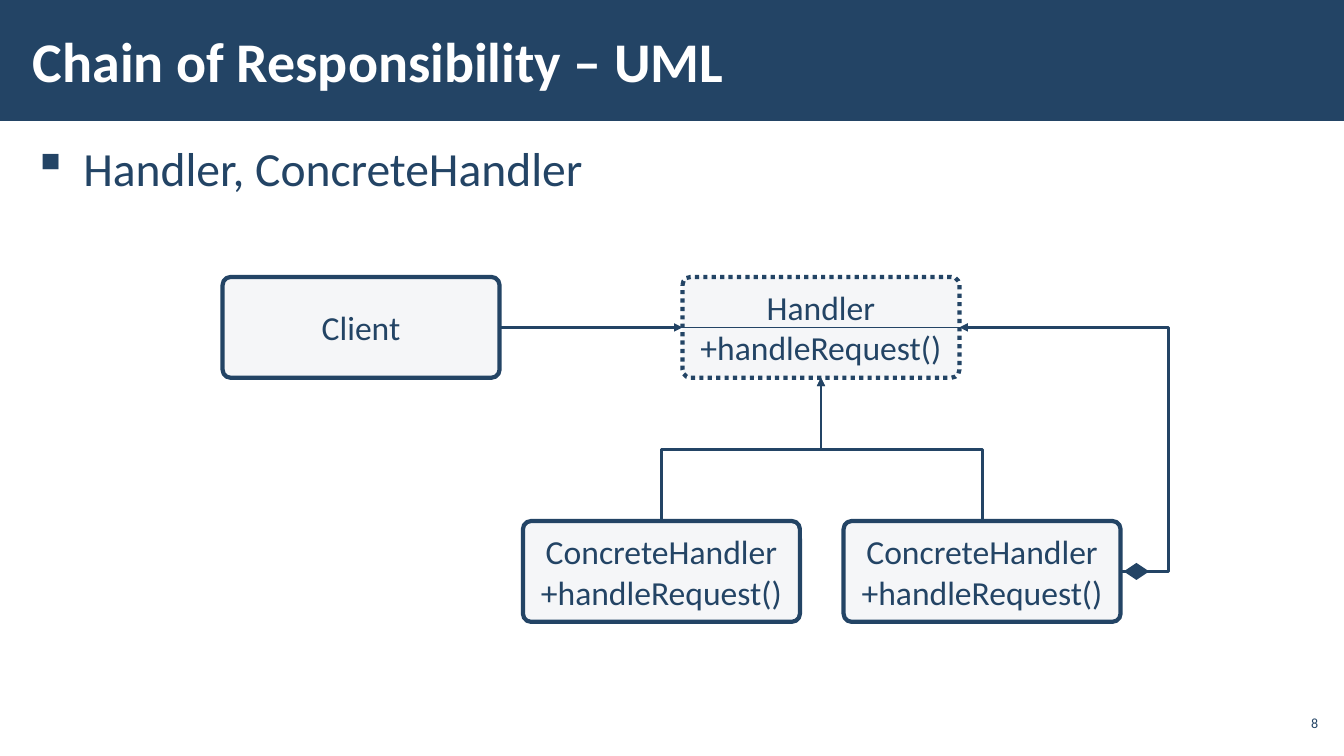
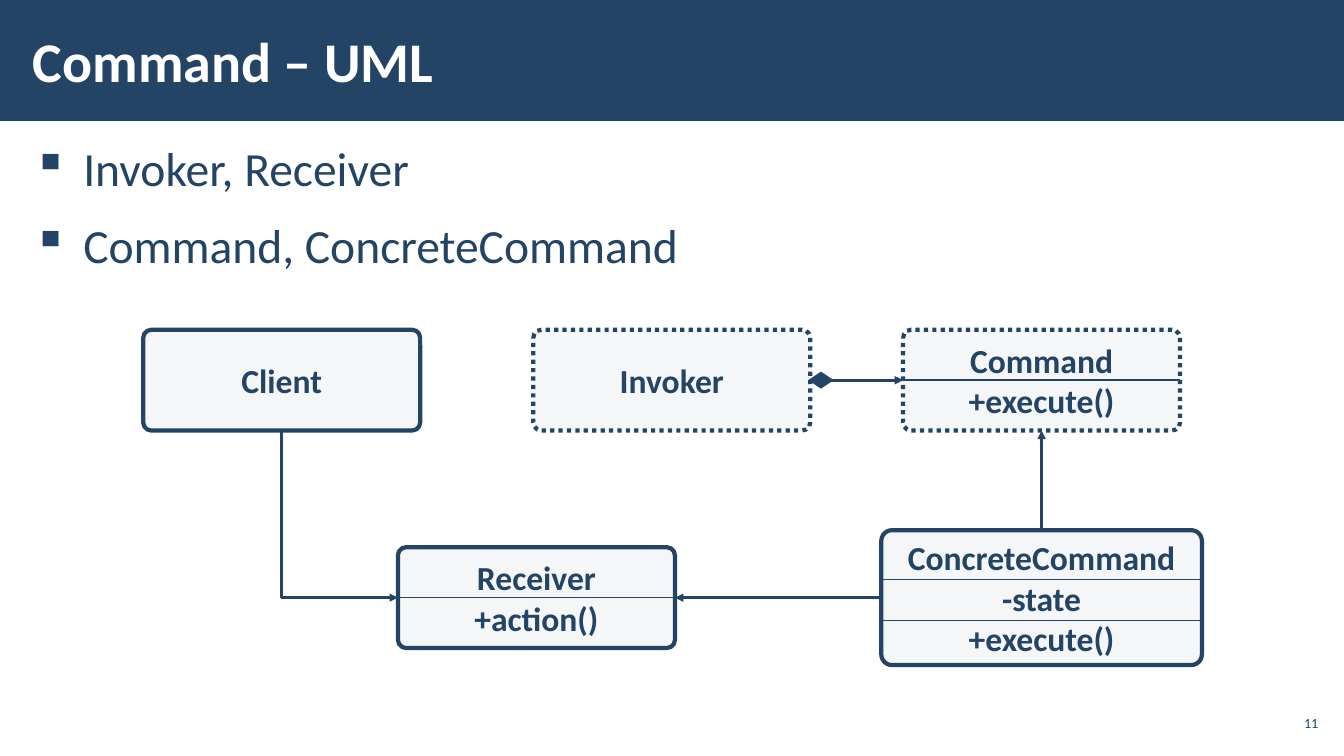
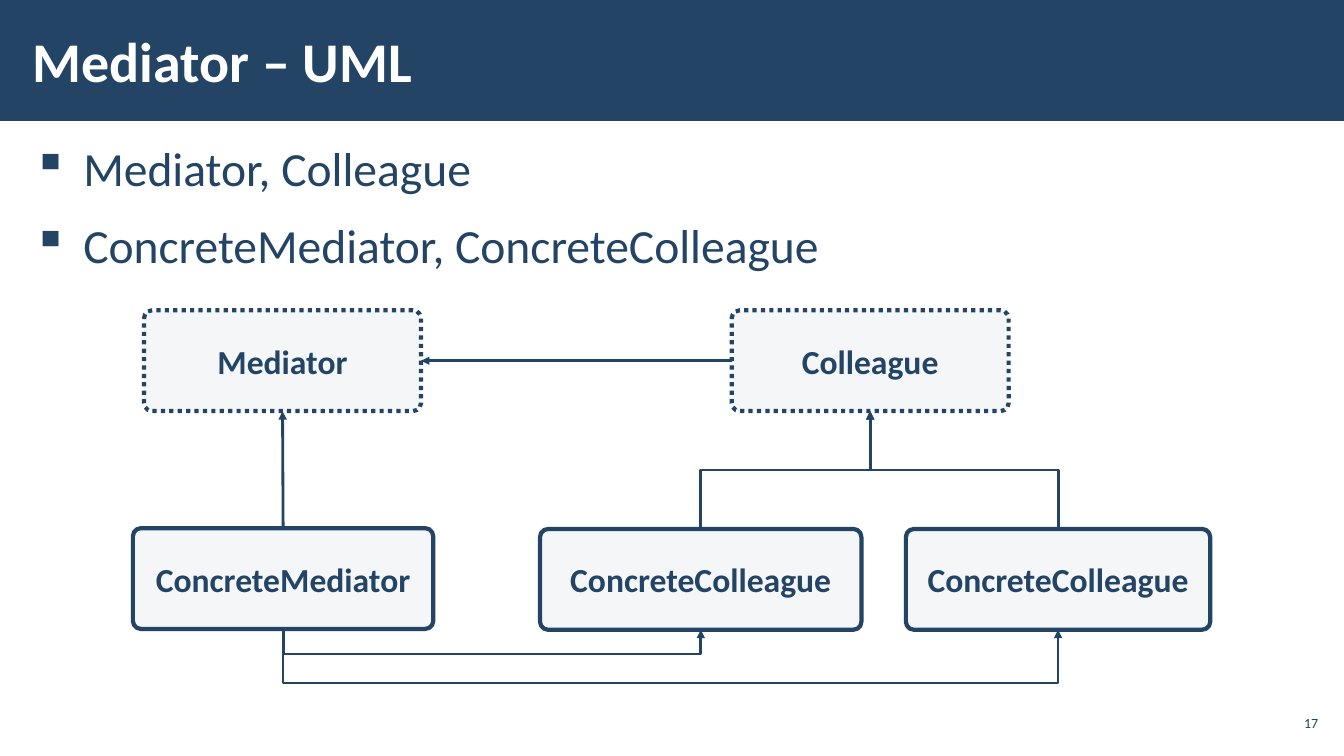
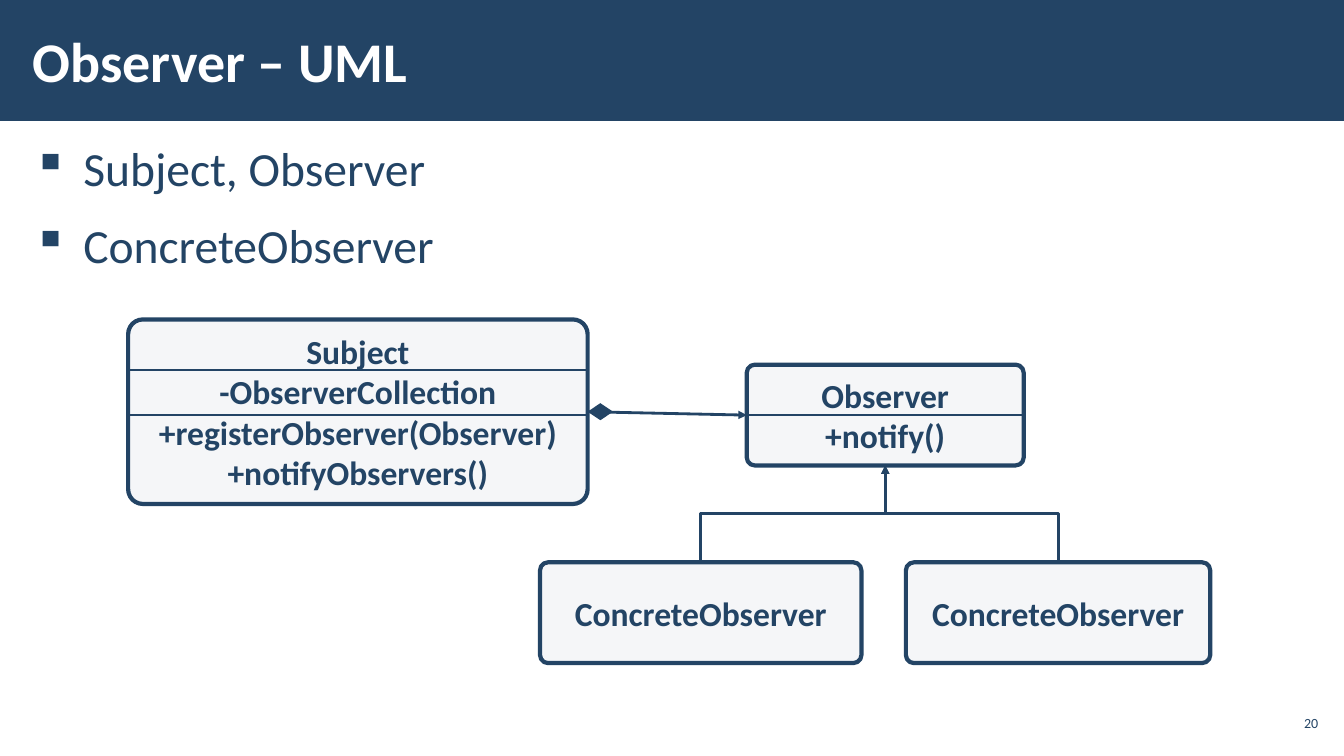
from lxml import etree
from pptx import Presentation
from pptx.dml.color import RGBColor
from pptx.enum.dml import MSO_LINE
from pptx.enum.shapes import MSO_CONNECTOR, MSO_SHAPE
from pptx.enum.text import MSO_ANCHOR, PP_ALIGN
from pptx.oxml.ns import qn
from pptx.util import Cm, Pt

NAVY = RGBColor(0x23, 0x44, 0x65)
MIST = RGBColor(0xC2, 0xC7, 0xD2)
WHITE = RGBColor(0xFF, 0xFF, 0xFF)
FONT = "Calibri"

STRAIGHT, ELBOW = MSO_CONNECTOR.STRAIGHT, MSO_CONNECTOR.ELBOW
BAND, CLASS, DIAMOND = MSO_SHAPE.RECTANGLE, MSO_SHAPE.ROUNDED_RECTANGLE, MSO_SHAPE.FLOWCHART_DECISION
DOTTED = MSO_LINE.ROUND_DOT
TOP_ANCHOR, MIDDLE = MSO_ANCHOR.TOP, MSO_ANCHOR.MIDDLE
ALIGN_LEFT, ALIGN_CENTER, ALIGN_RIGHT = PP_ALIGN.LEFT, PP_ALIGN.CENTER, PP_ALIGN.RIGHT

TOP, LEFT, BOTTOM, RIGHT = range(4)
SLIDE_WIDTH, SLIDE_HEIGHT = 33.87, 19.05
CLASS_WIDTH, CLASS_HEIGHT = 6.98, 2.54
MID_CLASS = CLASS_HEIGHT / 2


def write(shape, text, size, color=NAVY, bold=False, align=ALIGN_LEFT, anchor=MIDDLE):
    frame = shape.text_frame
    frame.word_wrap = True
    frame.vertical_anchor = anchor
    frame.text = text
    for paragraph in frame.paragraphs:
        paragraph.alignment = align
        for run in paragraph.runs:
            run.font.name = FONT
            run.font.size = Pt(size)
            run.font.bold = bold
            run.font.color.rgb = color
    return frame


def add_text(slide, text, place, insets, size, **style):
    label = slide.shapes.add_textbox(*map(Cm, place))
    frame = write(label, text, size, **style)
    frame.margin_left = frame.margin_right = Cm(insets[0])
    frame.margin_top = frame.margin_bottom = Cm(insets[1])
    return frame


def add_solid(slide, preset, place, color):
    solid = slide.shapes.add_shape(preset, *map(Cm, place))
    solid.shadow.inherit = False
    solid.fill.solid()
    solid.fill.fore_color.rgb = color
    solid.line.fill.background()
    return solid


def add_bullets(slide, items):
    frame = add_text(slide, "\n".join(items), (0.53, 3.33, 32.82, 14.45), (0.3, 0.1),
                     34, anchor=TOP_ANCHOR)
    for paragraph in frame.paragraphs:
        paragraph.line_spacing = 1.05
        paragraph.space_before = paragraph.space_after = Pt(6)
        properties = paragraph._p.get_or_add_pPr()
        properties.set("marL", str(Cm(1.27)))
        properties.set("indent", str(-Cm(1.27)))
        etree.SubElement(properties, qn("a:buChar")).set("char", "▪")


def add_uml_slide(deck, title, number, items):
    slide = deck.slides.add_slide(deck.slide_layouts[6])
    add_solid(slide, BAND, (0, 0, SLIDE_WIDTH, 3.05), NAVY)
    add_bullets(slide, items)
    add_text(slide, title, (0.53, 0.28, 26.39, 2.46), (0.3, 0.1), 40, color=WHITE, bold=True)
    add_text(slide, str(number), (32.13, 17.78, 1.19, 0.86), (0.1, 0.1), 10, align=ALIGN_RIGHT)
    return slide


def add_class(slide, text, left, top, width=CLASS_WIDTH, height=CLASS_HEIGHT,
              abstract=False, bold=True, dividers=()):
    uml_class = add_solid(slide, CLASS, (left, top, width, height), MIST)
    uml_class.adjustments[0] = 0.08
    color = uml_class._element.spPr.find(qn("a:solidFill"))[0]
    etree.SubElement(color, qn("a:alpha")).set("val", "15000")
    uml_class.line.color.rgb = NAVY
    uml_class.line.width = Pt(3)
    if abstract:
        uml_class.line.dash_style = DOTTED
    write(uml_class, text, 24, bold=bold, align=ALIGN_CENTER)
    for offset in dividers:
        y = Cm(top + offset)
        divider = slide.shapes.add_connector(STRAIGHT, Cm(left), y, Cm(left + width), y)
        style_line(divider, 1)
    return uml_class


def style_line(connector, width, arrow=False):
    connector.line.color.rgb = NAVY
    connector.line.width = Pt(width)
    if arrow:
        etree.SubElement(connector.line._get_or_add_ln(), qn("a:tailEnd")).set("type", "triangle")
    etree.SubElement(connector._element.spPr, qn("a:effectLst"))


def side_point(uml_class, side):
    x = uml_class.left + uml_class.width * {LEFT: 0, RIGHT: 2}.get(side, 1) // 2
    y = uml_class.top + uml_class.height * {TOP: 0, BOTTOM: 2}.get(side, 1) // 2
    return x, y


def add_arrow(slide, source, source_side, target, target_side):
    arrow = slide.shapes.add_connector(STRAIGHT, *side_point(source, source_side),
                                       *side_point(target, target_side))
    arrow.begin_connect(source, source_side)
    arrow.end_connect(target, target_side)
    style_line(arrow, 2, arrow=True)


def add_elbow(slide, source, source_side, target, target_side, reach=None):
    x1, y1 = side_point(source, source_side)
    x2, y2 = side_point(target, target_side)
    dx, dy = x2 - x1, y2 - y1
    vertical = source_side in (TOP, BOTTOM)
    width, height = (abs(dy), abs(dx)) if vertical else (abs(dx), abs(dy))
    left, top = (x1 + x2 - width) // 2, (y1 + y2 - height) // 2
    elbow = slide.shapes.add_connector(ELBOW, left, top, left + width, top + height)
    frame = elbow._element.spPr.xfrm
    if vertical:
        quarter_turn = dx * dy < 0
        elbow.rotation = 90 if quarter_turn else 270
        frame.flipH = (dy < 0) == quarter_turn
        frame.flipV = (dx > 0) == quarter_turn
    else:
        frame.flipH, frame.flipV = dx < 0, dy < 0
    geometry = elbow._element.spPr.find(qn("a:prstGeom"))
    if vertical != (target_side in (TOP, BOTTOM)):
        geometry.set("prst", "bentConnector2")
    elif reach is not None:
        bend = round(Cm(reach) / (dy if vertical else dx) * 100000)
        guide = etree.SubElement(geometry.find(qn("a:avLst")), qn("a:gd"))
        guide.set("name", "adj1")
        guide.set("fmla", f"val {bend}")
    style_line(elbow, 2, arrow=True)


def add_diamond(slide, owner, gap=0):
    x, y = side_point(owner, RIGHT)
    width, height = 0.64, 0.43
    add_solid(slide, DIAMOND, (x / Cm(1) + gap, y / Cm(1) - height / 2, width, height), NAVY)


def build_chain(deck):
    slide = add_uml_slide(deck, "Chain of Responsibility – UML", 8, ["Handler, ConcreteHandler"])
    client = add_class(slide, "Client", 5.61, 6.98, bold=False)
    handler = add_class(slide, "Handler\n+handleRequest()", 17.2, 6.98,
                        abstract=True, bold=False, dividers=[MID_CLASS])
    first, last = [add_class(slide, "ConcreteHandler\n+handleRequest()", left, 13.13, bold=False)
                   for left in (13.18, 21.26)]
    for concrete in (first, last):
        add_elbow(slide, concrete, TOP, handler, BOTTOM)
    add_elbow(slide, last, RIGHT, handler, RIGHT, reach=1.2)
    add_arrow(slide, client, RIGHT, handler, LEFT)
    add_diamond(slide, last, gap=0.08)


def build_command(deck):
    slide = add_uml_slide(deck, "Command – UML", 11,
                          ["Invoker, Receiver", "Command, ConcreteCommand"])
    client = add_class(slide, "Client", 3.61, 8.31)
    invoker = add_class(slide, "Invoker", 13.44, 8.31, abstract=True)
    command = add_class(slide, "Command\n+execute()", 22.76, 8.31,
                        abstract=True, dividers=[MID_CLASS])
    receiver = add_class(slide, "Receiver\n+action()", 10.03, 13.79, dividers=[MID_CLASS])
    concrete = add_class(slide, "ConcreteCommand\n-state\n+execute()", 22.21, 13.36,
                         8.08, 3.4, dividers=[1.24, 2.28])
    add_arrow(slide, invoker, RIGHT, command, LEFT)
    add_diamond(slide, invoker, gap=-0.05)
    add_arrow(slide, concrete, TOP, command, BOTTOM)
    add_arrow(slide, concrete, LEFT, receiver, RIGHT)
    add_elbow(slide, client, BOTTOM, receiver, LEFT)


def add_concrete_pair(slide, text, top, parent):
    pair = [add_class(slide, text, left, top, width)
            for left, width in ((13.61, 8.1), (22.83, 7.67))]
    for concrete in pair:
        add_elbow(slide, concrete, TOP, parent, BOTTOM)
    return pair


def build_mediator(deck):
    slide = add_uml_slide(deck, "Mediator – UML", 17,
                          ["Mediator, Colleague", "ConcreteMediator, ConcreteColleague"])
    mediator = add_class(slide, "Mediator", 3.63, 7.82, abstract=True)
    colleague = add_class(slide, "Colleague", 18.44, 7.82, abstract=True)
    concrete_mediator = add_class(slide, "ConcreteMediator", 3.35, 13.31, 7.57)
    colleagues = add_concrete_pair(slide, "ConcreteColleague", 13.33, colleague)
    add_arrow(slide, colleague, LEFT, mediator, RIGHT)
    add_arrow(slide, concrete_mediator, TOP, mediator, BOTTOM)
    for concrete, reach in zip(colleagues, (0.63, 1.36)):
        add_elbow(slide, concrete_mediator, BOTTOM, concrete, BOTTOM, reach)


def build_observer(deck):
    slide = add_uml_slide(deck, "Observer – UML", 20, ["Subject, Observer", "ConcreteObserver"])
    subject = add_class(
        slide, "Subject\n-ObserverCollection\n+registerObserver(Observer)\n+notifyObservers()",
        3.23, 8.05, 11.58, 4.65, dividers=[1.27, 2.41])
    observer = add_class(slide, "Observer\n+notify()", 18.82, 9.19, dividers=[MID_CLASS])
    add_concrete_pair(slide, "ConcreteObserver", 14.17, observer)
    add_arrow(slide, subject, RIGHT, observer, LEFT)
    add_diamond(slide, subject)


def main():
    deck = Presentation()
    deck.slide_width, deck.slide_height = Cm(SLIDE_WIDTH), Cm(SLIDE_HEIGHT)
    for build in (build_chain, build_command, build_mediator, build_observer):
        build(deck)
    deck.save("out.pptx")


if __name__ == "__main__":
    main()
